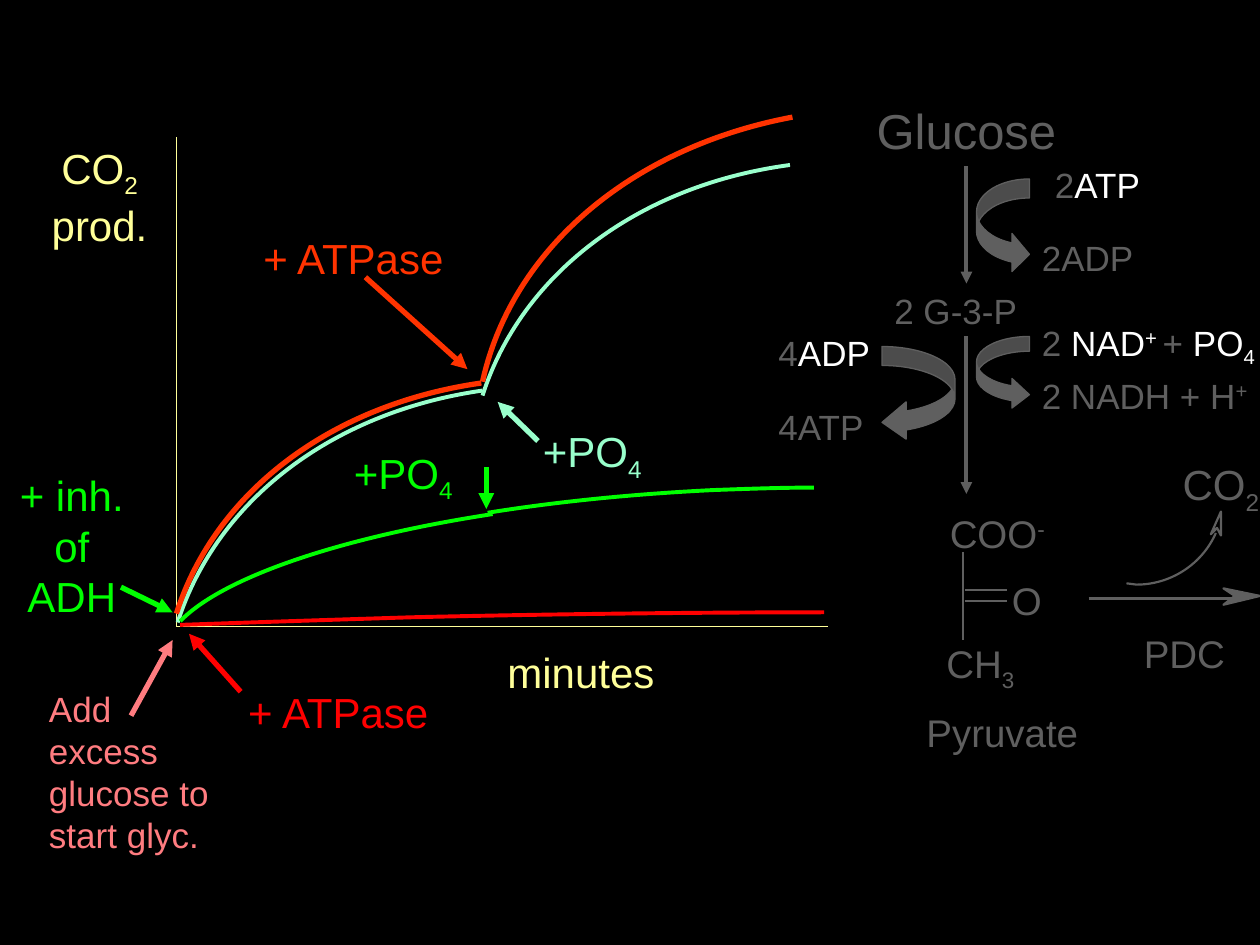
from dataclasses import dataclass
from typing import Any

from lxml import etree
from pptx import Presentation, util as u
from pptx.dml.color import RGBColor
from pptx.enum import shapes, text
from pptx.oxml import ns

BLACK = RGBColor(0x00, 0x00, 0x00)
WHITE = RGBColor(0xFF, 0xFF, 0xFF)
GRAY = RGBColor(0x5F, 0x5F, 0x5F)
YELLOW = RGBColor(0xFF, 0xFF, 0x99)
MINT = RGBColor(0x99, 0xFF, 0xCC)
ORANGE = RGBColor(0xFF, 0x33, 0x00)
GREEN = RGBColor(0x00, 0xFF, 0x00)
RED = RGBColor(0xFF, 0x00, 0x00)
PINK = RGBColor(0xFF, 0x7C, 0x80)

WIDTH, HEIGHT = u.Inches(10), u.Inches(7.5)
CELL = WIDTH / 100  # the page is a grid of 100 columns by 75 rows
SUB, SUP = -25000, 30000
LEFT, CENTER = text.PP_ALIGN.LEFT, text.PP_ALIGN.CENTER


@dataclass
class Region:
    """A part of the page; lengths are grid cells from its top left corner."""
    page: Any
    left: float
    top: float

    def place(self, x, y):
        return round((self.left + x) * CELL), round((self.top + y) * CELL)

    def frame(self, box):
        x, y, width, height = box
        return (*self.place(x, y), round(width * CELL), round(height * CELL))

    def label(self, box, spans, size, color, align=CENTER, wrap=True, inset=True):
        """Spans are strings, or (string, baseline shift, colour) tuples."""
        shape = self.page.shapes.add_textbox(*self.frame(box))
        body = shape.text_frame
        body.word_wrap = wrap
        if not inset:
            body.margin_left = body.margin_right = 0
            body.margin_top = body.margin_bottom = 0
        para = body.paragraphs[0]
        para.alignment = align
        for part in spans:
            words, shift, tint = (part, 0, color) if isinstance(part, str) else part
            span = para.add_run()
            span.text = words
            span.font.name = "Arial"
            span.font.size = u.Pt(size)
            span.font.color.rgb = tint
            if shift:
                span._r.get_or_add_rPr().set("baseline", str(shift))
        return shape

    def line(self, start, end, color, width, arrow=False):
        connector = self.page.shapes.add_connector(
            shapes.MSO_CONNECTOR.STRAIGHT, *self.place(*start), *self.place(*end))
        connector.line.color.rgb = color
        connector.line.width = u.Pt(width)
        if arrow:
            etree.SubElement(connector.line._get_or_add_ln(),
                             ns.qn("a:tailEnd"), type="triangle")
        etree.SubElement(connector._element.spPr, ns.qn("a:effectLst"))
        return connector

    def outline(self, points, color, width, fill=None, close=False):
        first, *others = [self.place(*point) for point in points]
        builder = self.page.shapes.build_freeform(*first)
        builder.add_line_segments(others, close=close)
        shape = builder.convert_to_shape()
        shape.shadow.inherit = False
        shape.line.color.rgb = color
        shape.line.width = u.Pt(width)
        if fill is None:
            shape.fill.background()
        else:
            shape.fill.solid()
            shape.fill.fore_color.rgb = fill
        return shape

    def curve(self, points, color, width):
        """Start point, then two handles and an end point for each Bezier."""
        shape = self.outline(points, color, width)
        steps = list(shape._element.iter(ns.qn("a:lnTo")))
        for index in range(0, len(steps), 3):
            bezier = etree.Element(ns.qn("a:cubicBezTo"))
            steps[index].addprevious(bezier)
            for step in steps[index:index + 3]:
                bezier.append(step[0])
                step.getparent().remove(step)

    def curved_arrow(self, kind, box, adjustments):
        shape = self.page.shapes.add_shape(kind, *self.frame(box))
        shape.shadow.inherit = False
        for index, value in enumerate(adjustments):
            shape.adjustments[index] = value
        shape.fill.solid()
        shape.fill.fore_color.rgb = GRAY
        shape.line.color.rgb = GRAY
        shape.line.width = u.Pt(0.75)


def draw_graph(page, left, top):
    graph = Region(page, left, top)

    # Axes and their titles
    origin = (14, 41.7)
    for end in [(14, 2.9), (65.7, 41.7)]:
        graph.line(origin, end, YELLOW, 0.75)
    graph.label((0, 2.8, 15.8, 9), ["CO", ("2 ", SUB, YELLOW), "prod."], 24, YELLOW)
    graph.label((37.9, 42.8, 16.4, 5), ["minutes"], 24, YELLOW)

    # Production curves
    curves = [
        (MINT, 2.25, [(38.3, 23), (26.4, 24.7), (17.2, 31.7), (14.1, 41.4)]),
        (ORANGE, 3, [(38.2, 22.4), (26.3, 24.1), (17.1, 31), (14, 40.7)]),
        (MINT, 2.25, [(62.7, 5.1), (50.7, 6.7), (41.4, 13.7), (38.3, 23.4)]),
        (GREEN, 2.25, [(64.6, 30.7), (62, 30.7), (59.3, 30.8), (56.6, 30.9),
                       (50.4, 31.2), (44.3, 31.8), (38.7, 32.7)]),
        (RED, 2.25, [(65.4, 40.6), (57.3, 40.6), (45.3, 40.7), (32.6, 41),
                     (26.2, 41.2), (20, 41.4), (14.3, 41.6)]),
        (ORANGE, 3, [(62.9, 1.3), (50.1, 3.7), (40.6, 11.8), (38.3, 22.3)]),
        (GREEN, 2.25, [(39.1, 32.8), (26.7, 34.7), (17.6, 37.9), (14.3, 41.3)]),
    ]
    for color, width, points in curves:
        graph.curve(points, color, width)

    # Additions: label and arrow
    for color, box, spans, start, end in [
        (MINT, (42, 25.3, 10, 5), ["+PO", ("4", SUB, MINT)], (42.7, 27), (39.5, 23.9)),
        (GREEN, (27, 27, 10, 5), ["+PO", ("4", SUB, GREEN)], (38.6, 29.1), (38.6, 32.4)),
        (RED, (18.5, 46, 16.7, 5), ["+ ATPase"], (19.1, 46.9), (15, 42.3)),
        (ORANGE, (19.7, 10, 16.7, 5), ["+ ATPase"], (29, 14), (37.1, 21.3)),
    ]:
        graph.label(box, spans, 24, color, wrap=False)
        graph.line(start, end, color, 3, arrow=True)
    graph.label((0, 28.8, 11.4, 13), ["+ inh. of ADH"], 24, GREEN)
    graph.line((9.6, 38.6), (13.7, 40.6), GREEN, 3, arrow=True)
    graph.label((2.9, 46.1, 15.5, 14.3), ["Add excess glucose to start glyc."],
                20, PINK, LEFT)
    graph.line((10.4, 48.8), (13.7, 42.8), PINK, 3, arrow=True)


def draw_glycolysis(page, left, top):
    path = Region(page, left, top)

    # Main chain
    glucose = path.label((4.2, 0.5, 25, 5.7), ["Glucose"], 28, GRAY)
    path.label((4.2, 15.5, 23.3, 4.3), ["2 G-3-P"], 20, GRAY)
    first = path.line((16.7, 6.3), (16.7, 15.5), GRAY, 2.25, arrow=True)
    first.begin_connect(glucose, 2)
    path.line((16.7, 19.7), (16.7, 32.2), GRAY, 2.25, arrow=True)

    # Cofactors and their turnover arrows
    path.label((20, 5.5, 14.2, 4.3), ["2", ("ATP", 0, WHITE)], 20, GRAY)
    for box, spans in [
        ((21.7, 11.3, 9.3, 4.3), ["2ADP"]),
        ((0.8, 18.8, 11.7, 4.3), ["4", ("ADP", 0, WHITE)]),
        ((0.8, 24.7, 9.2, 4.3), ["4ATP"]),
        ((21.7, 18, 22.5, 4.3), ["2 ", ("NAD", 0, WHITE), ("+ ", SUP, WHITE), "+ ",
                                 ("PO", 0, WHITE), ("4", SUB, WHITE)]),
        ((21.7, 22.2, 20, 4.3), ["2 NADH + H", ("+", SUP, GRAY)]),
    ]:
        path.label(box, spans, 20, GRAY, LEFT)
    right, left_turn = shapes.MSO_SHAPE.CURVED_RIGHT_ARROW, shapes.MSO_SHAPE.CURVED_LEFT_ARROW
    path.curved_arrow(right, (17.5, 7.2, 4.2, 7.5), (0.36, 0.72, 0.33))
    path.curved_arrow(left_turn, (10, 20.5, 5.8, 7.5), (0.26, 0.51, 0.33))
    path.curved_arrow(right, (17.5, 19.7, 4.2, 5.8), (0.28, 0.56, 0.33))

    # Pyruvate molecule and the enzyme complex
    for box, spans in [
        ((15.3, 33.5, 7.7, 3.7), ["COO", ("-", SUP, GRAY)]),
        ((20.2, 38.8, 2.6, 3.7), ["O"]),
        ((15, 43.8, 5.6, 3.7), ["CH", ("3", SUB, GRAY)]),
        ((13.3, 49.3, 12.5, 3.7), ["Pyruvate"]),
        ((30.5, 43, 7, 3.7), ["PDC"]),
    ]:
        path.label(box, spans, 22, GRAY, wrap=False, inset=False)
    for row in (36.8, 40.3):
        path.line((16.4, row), (16.4, row + 3.5), GRAY, 1.25)
    for row in (39.8, 40.7):
        path.line((16.6, row), (19.9, row), GRAY, 1.25)

    # Decarboxylation arrows
    path.label((32.3, 29.4, 9.2, 4), ["CO", ("2", SUB, GRAY)], 24, GRAY, inset=False)
    path.line((26.4, 40.5), (38.5, 40.5), GRAY, 2.25)
    path.outline([(37.1, 39.7), (40, 40.3), (37.1, 41), (38, 40.3)],
                 GRAY, 1.25, fill=GRAY, close=True)
    path.curve([(36.5, 35.3), (35.4, 37.8), (32.9, 39.4), (30.2, 39.4),
                (29.9, 39.4), (29.7, 39.3), (29.4, 39.3)], GRAY, 1.25)
    path.outline([(36.1, 35.4), (36.9, 33.6), (36.9, 35.5), (36.6, 34.9)],
                 GRAY, 1.25, fill=BLACK, close=True)


def main():
    deck = Presentation()
    deck.slide_width, deck.slide_height = WIDTH, HEIGHT
    page = deck.slides.add_slide(deck.slide_layouts[6])
    page.background.fill.solid()
    page.background.fill.fore_color.rgb = BLACK
    draw_graph(page, 0, 8)
    draw_glycolysis(page, 60, 7)
    deck.save("out.pptx")


if __name__ == "__main__":
    main()
